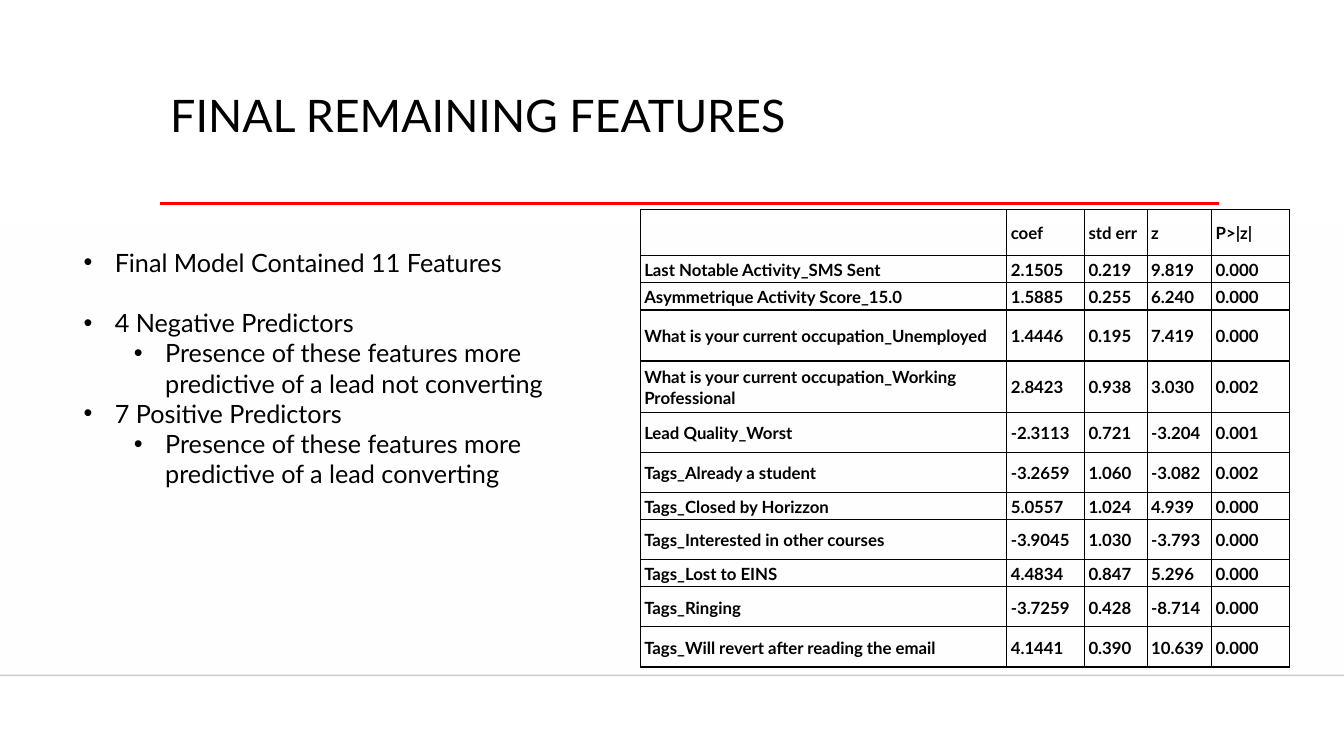
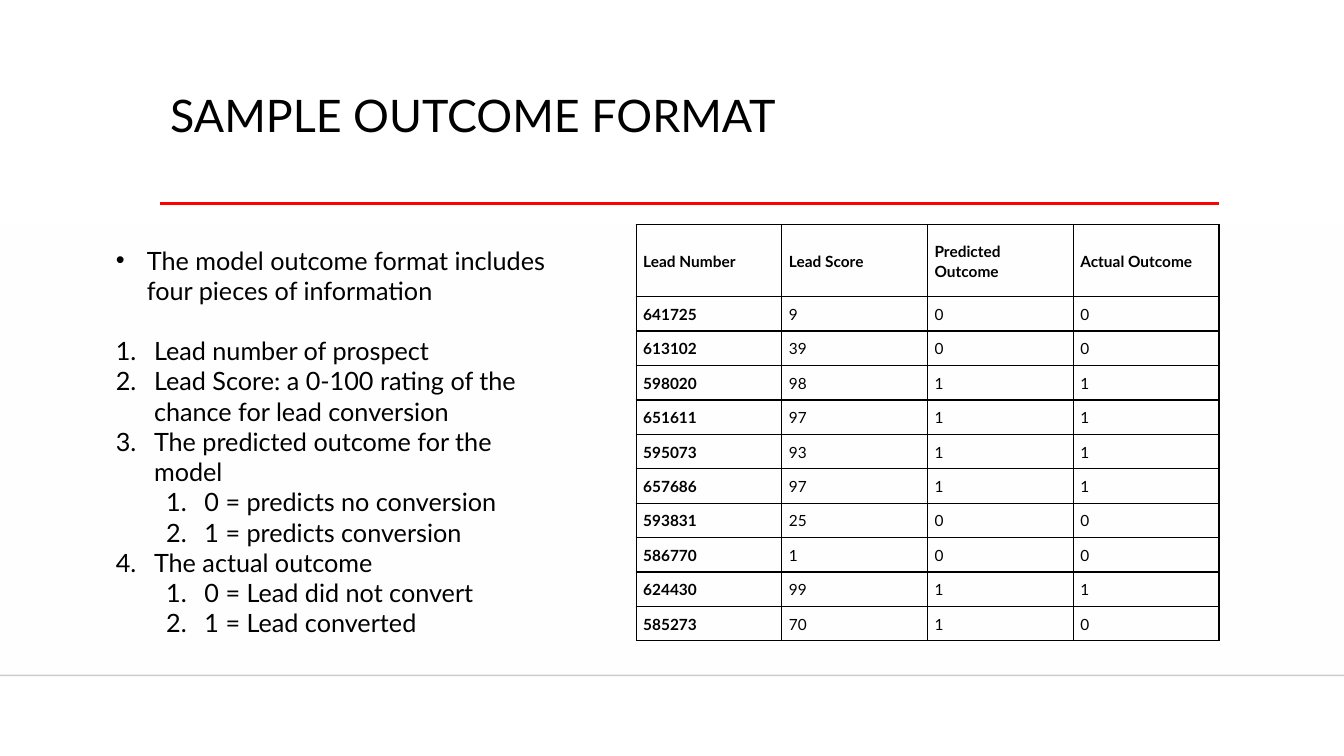
"""Build two slides on the features and the outcome format of a lead scoring model."""
from dataclasses import dataclass

from lxml import etree
from pptx import Presentation
from pptx.dml.color import RGBColor
from pptx.enum import shapes, text
from pptx.oxml import ns
from pptx.util import Inches, Pt


@dataclass(frozen=True)
class Theme:
    font: str = "Lato"
    bullet_font: str = "Arial"
    ink: RGBColor = RGBColor(0, 0, 0)
    accent: RGBColor = RGBColor(0xFF, 0, 0)
    band: RGBColor = RGBColor(0xFF, 0xFF, 0xFF)
    footer: RGBColor = RGBColor(0, 0, 1)
    footer_opacity: int = 20
    title_size: int = 32
    body_size: int = 18
    blank_line: float = 21.6


@dataclass(frozen=True)
class Item:
    text: str
    level: int = 0
    numbered: bool = False
    gap_after: bool = False


THEME = Theme()
WIDTH, HEIGHT = 13.33, 7.5

FEATURE_ITEMS = [
    Item("Final Model Contained 11 Features", gap_after=True),
    Item("4 Negative Predictors"),
    Item("Presence of these features more predictive of a lead not converting", 1),
    Item("7 Positive Predictors"),
    Item("Presence of these features more predictive of a lead converting", 1),
]
FEATURE_ROWS = [
    ("", "coef", "std err", "z", "P>|z|"),
    ("Last Notable Activity_SMS Sent", "2.1505", "0.219", "9.819", "0.000"),
    ("Asymmetrique Activity Score_15.0", "1.5885", "0.255", "6.240", "0.000"),
    ("What is your current occupation_Unemployed", "1.4446", "0.195", "7.419", "0.000"),
    ("What is your current occupation_Working Professional", "2.8423", "0.938", "3.030", "0.002"),
    ("Lead Quality_Worst", "-2.3113", "0.721", "-3.204", "0.001"),
    ("Tags_Already a student", "-3.2659", "1.060", "-3.082", "0.002"),
    ("Tags_Closed by Horizzon", "5.0557", "1.024", "4.939", "0.000"),
    ("Tags_Interested in other courses", "-3.9045", "1.030", "-3.793", "0.000"),
    ("Tags_Lost to EINS", "4.4834", "0.847", "5.296", "0.000"),
    ("Tags_Ringing", "-3.7259", "0.428", "-8.714", "0.000"),
    ("Tags_Will revert after reading the email", "4.1441", "0.390", "10.639", "0.000"),
]
FEATURE_WIDTHS = [3.63, 0.77, 0.62, 0.64, 0.77]
FEATURE_HEIGHTS = [0.46, 0.27, 0.27, 0.51, 0.51, 0.4, 0.4, 0.27, 0.4, 0.27, 0.4, 0.4]

OUTCOME_ITEMS = [
    Item("The model outcome format includes four pieces of information", gap_after=True),
    Item("Lead number of prospect", 0, True),
    Item("Lead Score: a 0-100 rating of the chance for lead conversion", 0, True),
    Item("The predicted outcome for the model", 0, True),
    Item("0 = predicts no conversion", 1, True),
    Item("1 = predicts conversion", 1, True),
    Item("The actual outcome", 0, True),
    Item("0 = Lead did not convert", 1, True),
    Item("1 = Lead converted", 1, True),
]
OUTCOME_ROWS = [
    ("Lead Number", "Lead Score", "Predicted Outcome", "Actual Outcome"),
    ("641725", "9", "0", "0"),
    ("613102", "39", "0", "0"),
    ("598020", "98", "1", "1"),
    ("651611", "97", "1", "1"),
    ("595073", "93", "1", "1"),
    ("657686", "97", "1", "1"),
    ("593831", "25", "0", "0"),
    ("586770", "1", "0", "0"),
    ("624430", "99", "1", "1"),
    ("585273", "70", "1", "0"),
]


def style_font(paragraph, size, bold=False):
    """Apply the theme font to a whole paragraph."""
    font = paragraph.font
    font.name, font.size, font.bold = THEME.font, Pt(size), bold
    font.color.rgb = THEME.ink


def set_opacity(shape, percent):
    """Set the opacity of the first colour in a shape's properties."""
    color = shape._element.spPr.find(f".//{ns.qn('a:srgbClr')}")
    etree.SubElement(color, ns.qn("a:alpha"), val=str(percent * 1000))


def add_band(slide):
    """Add the content band that fades in from clear to white."""
    band = slide.shapes.add_shape(
        shapes.MSO_SHAPE.RECTANGLE, 0, Inches(2.21), Inches(WIDTH), Inches(4.49))
    band.shadow.inherit = False
    band.line.fill.background()
    band.fill.gradient()
    band.fill.gradient_angle = 270
    for stop in band.fill.gradient_stops:
        stop.color.rgb = THEME.band
    set_opacity(band, 0)


def add_rule(slide, left, right, y, color, weight):
    """Draw a horizontal line without a shadow."""
    rule = slide.shapes.add_connector(
        shapes.MSO_CONNECTOR.STRAIGHT, Inches(left), Inches(y), Inches(right), Inches(y))
    rule.line.color.rgb = color
    rule.line.width = Pt(weight)
    etree.SubElement(rule._element.spPr, ns.qn("a:effectLst"))
    return rule


def add_text_frame(slide, left, top, width, height):
    """Add a wrapping text box and return its text frame."""
    box = slide.shapes.add_textbox(Inches(left), Inches(top), Inches(width), Inches(height))
    box.text_frame.word_wrap = True
    return box.text_frame


def add_titled_slide(presentation, title):
    """Add a blank slide with the shared band, rules and title."""
    slide = presentation.slides.add_slide(presentation.slide_layouts[6])
    add_band(slide)
    footer_rule = add_rule(slide, 0, WIDTH, 6.7, THEME.footer, 1)
    set_opacity(footer_rule, THEME.footer_opacity)
    add_rule(slide, 1.59, 12.09, 2.02, THEME.accent, 2.5)
    paragraph = add_text_frame(slide, 1.59, 0.88, 10.5, 0.71).paragraphs[0]
    paragraph.text = title
    paragraph.line_spacing = 0.9
    style_font(paragraph, THEME.title_size)
    return slide


def set_marker(paragraph, item):
    """Give a paragraph its bullet or number and hanging indent."""
    hang = 0.38 if item.numbered else 0.31
    properties = paragraph._p.get_or_add_pPr()
    properties.set("marL", str(Inches(hang + 0.5 * item.level)))
    properties.set("indent", str(-Inches(hang)))
    if item.numbered:
        etree.SubElement(properties, ns.qn("a:buAutoNum"), type="arabicPeriod")
    else:
        etree.SubElement(properties, ns.qn("a:buFont"), typeface=THEME.bullet_font)
        etree.SubElement(properties, ns.qn("a:buChar"), char="•")


def add_list(slide, items, left, top, width, height):
    """Add a list of bulleted and numbered items."""
    frame = add_text_frame(slide, left, top, width, height)
    for index, item in enumerate(items):
        paragraph = frame.add_paragraph() if index else frame.paragraphs[0]
        paragraph.text = item.text
        paragraph.level = item.level
        set_marker(paragraph, item)
        if item.gap_after:
            paragraph.space_after = Pt(THEME.blank_line)
        style_font(paragraph, THEME.body_size)


def set_borders(cell):
    """Draw a thin solid line on every side of a cell."""
    properties = cell._tc.get_or_add_tcPr()
    for side in ("lnL", "lnR", "lnT", "lnB"):
        line = etree.SubElement(properties, ns.qn(f"a:{side}"), w=str(Pt(1)))
        fill = etree.SubElement(line, ns.qn("a:solidFill"))
        etree.SubElement(fill, ns.qn("a:srgbClr"), val=str(THEME.ink))


def fill_cell(cell, value, size, margin, bold):
    """Write and style one table cell."""
    set_borders(cell)
    cell.fill.background()
    cell.vertical_anchor = text.MSO_ANCHOR.MIDDLE
    cell.margin_left = cell.margin_right = Inches(margin)
    cell.margin_top = cell.margin_bottom = 0
    paragraph = cell.text_frame.paragraphs[0]
    paragraph.text = value
    paragraph.line_spacing = 1.07
    style_font(paragraph, size, bold)


def share(total, parts):
    """Divide a length in inches in proportion to the parts."""
    return [Inches(total * part / sum(parts)) for part in parts]


def add_grid(slide, rows, box, widths, heights, size, margin, all_bold=False):
    """Add a bordered table with a bold header row and first column."""
    left, top, width, height = box
    table = slide.shapes.add_table(
        len(rows), len(widths), Inches(left), Inches(top), Inches(width), Inches(height)).table
    table.first_row = table.horz_banding = False
    for column, column_width in zip(table.columns, share(width, widths)):
        column.width = column_width
    for row_index, (values, row_height) in enumerate(zip(rows, share(height, heights))):
        table.rows[row_index].height = row_height
        for column_index, value in enumerate(values):
            bold = all_bold or row_index == 0 or column_index == 0
            fill_cell(table.cell(row_index, column_index), value, size, margin, bold)


def main():
    """Build and save the presentation."""
    presentation = Presentation()
    presentation.slide_width, presentation.slide_height = Inches(WIDTH), Inches(HEIGHT)

    slide = add_titled_slide(presentation, "FINAL REMAINING FEATURES")
    add_grid(slide, FEATURE_ROWS, (6.35, 2.08, 6.44, 4.54), FEATURE_WIDTHS, FEATURE_HEIGHTS,
             size=12, margin=0.04, all_bold=True)
    add_list(slide, FEATURE_ITEMS, 0.73, 2.4, 5.48, 2.52)

    slide = add_titled_slide(presentation, "SAMPLE OUTCOME FORMAT")
    add_grid(slide, OUTCOME_ROWS, (6.31, 2.23, 5.78, 4.13), [1] * 4, [0.71] + [0.34] * 10,
             size=11, margin=0.07)
    add_list(slide, OUTCOME_ITEMS, 1.05, 2.38, 4.57, 4.04)

    presentation.save("out.pptx")


if __name__ == "__main__":
    main()
